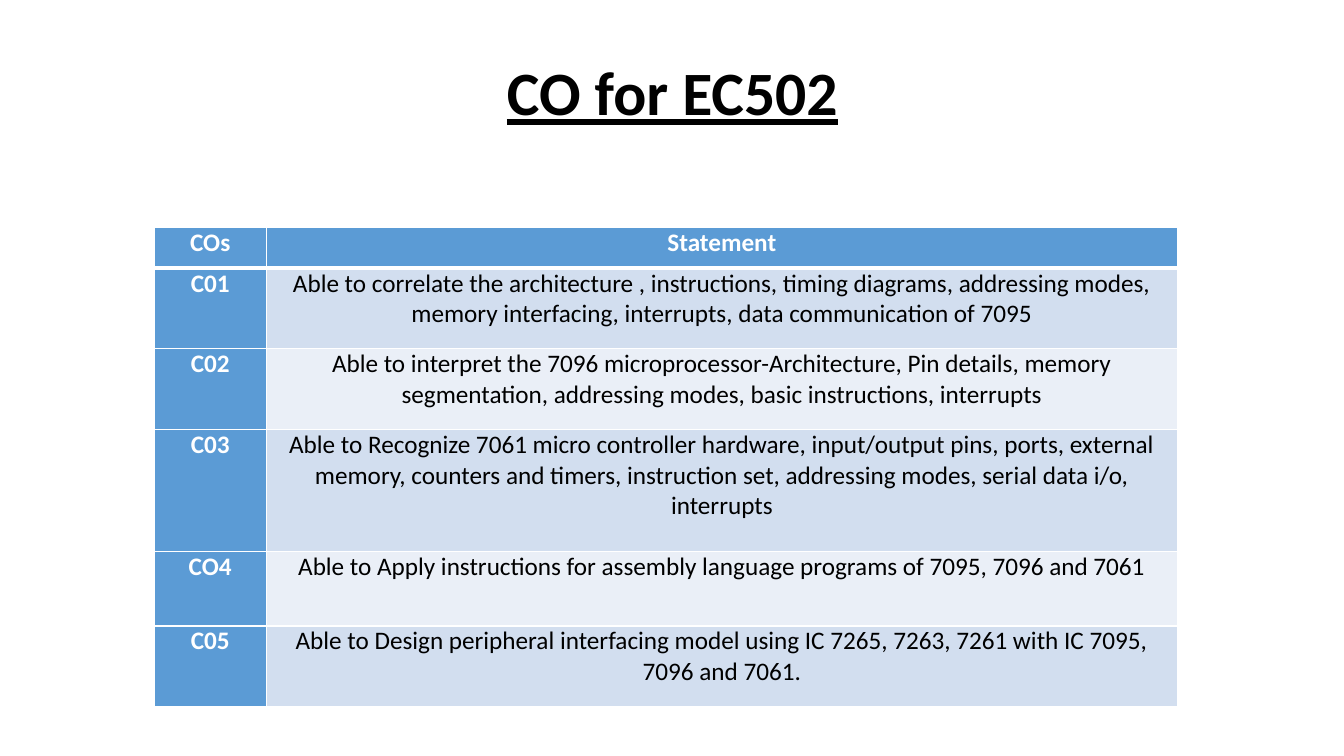
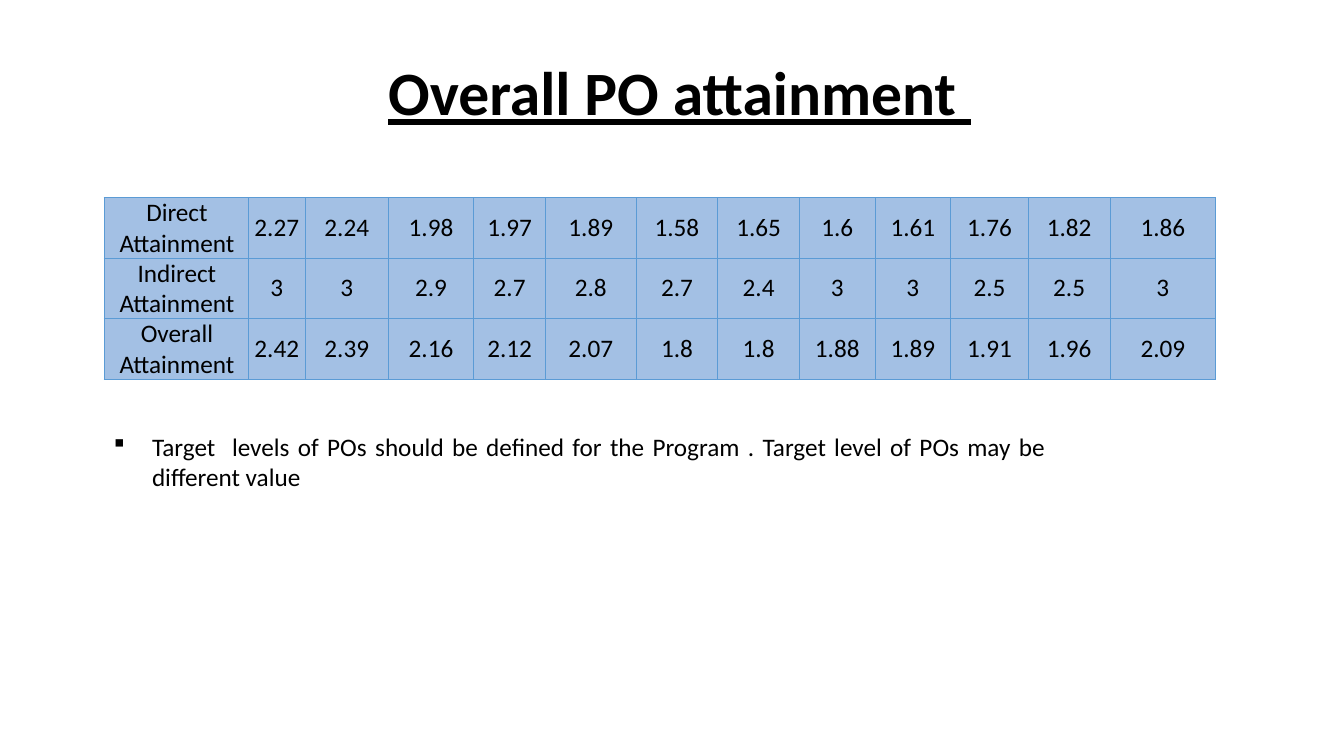
from lxml import etree
from pptx import Presentation
from pptx.dml.color import RGBColor
from pptx.enum.text import MSO_ANCHOR as ANCHOR, PP_ALIGN as ALIGN
from pptx.oxml.ns import qn
from pptx.util import Inches, Pt

FONT = "Calibri"
BLACK, WHITE, BLUE = "000000", "FFFFFF", "5B9BD5"
BANDS = ["D2DEEF", "EAEFF7"]
PALE_BLUE = "A3C0E4"


def style_text(tf, size=18, color=BLACK, bold=False, align=ALIGN.CENTER):
    for p in tf.paragraphs:
        p.alignment = align
        for r in p.runs:
            r.font.name, r.font.size, r.font.bold = FONT, Pt(size), bold
            r.font.color.rgb = RGBColor.from_string(color)


def style_cell(cell, fill, line, widths, side_margin):
    """Set margins, borders (left, right, top, bottom widths in points) and fill."""
    cell.margin_left = cell.margin_right = Inches(side_margin)
    cell.margin_top = cell.margin_bottom = 0
    tc_pr = cell._tc.get_or_add_tcPr()
    for side, width in zip("LRTB", widths):
        ln = etree.SubElement(tc_pr, qn(f"a:ln{side}"), w=str(Pt(width)))
        solid = etree.SubElement(ln, qn("a:solidFill"))
        etree.SubElement(solid, qn("a:srgbClr"), val=line)
    cell.fill.solid()
    cell.fill.fore_color.rgb = RGBColor.from_string(fill)


prs = Presentation()
prs.slide_width, prs.slide_height = Inches(13.33), Inches(7.5)

# Slides with their shared title style
titles = [["CO for EC502"], [" ", "Overall PO attainment "]]
for parts in titles:
    s = prs.slides.add_slide(prs.slide_layouts[6])
    tf = s.shapes.add_textbox(Inches(0.92), Inches(0.4), Inches(11.5), Inches(1.1)).text_frame
    tf.word_wrap = True
    tf.vertical_anchor = ANCHOR.MIDDLE
    p = tf.paragraphs[0]
    p.line_spacing = 0.9
    for part in parts:
        p.add_run().text = part
    style_text(tf, size=44, bold=True)
    p.runs[-1].font.underline = True
outcome_slide, attainment_slide = prs.slides

# Slide 1: course outcomes
outcomes = [
    ("COs", "Statement", 0.4),
    ("C01", "Able to correlate the architecture , instructions, timing diagrams, addressing modes, "
            "memory interfacing, interrupts, data communication of 7095", 0.8),
    ("C02", "Able to interpret the 7096 microprocessor-Architecture, Pin details, memory\n"
            "segmentation, addressing modes, basic instructions, interrupts", 0.8),
    ("C03", "Able to Recognize 7061 micro controller hardware, input/output pins, ports, external\n"
            "memory, counters and timers, instruction set, addressing modes, serial data i/o,\n"
            "interrupts", 1.21),
    ("CO4", "Able to Apply instructions for assembly language programs of 7095, 7096 and 7061", 0.74),
    ("C05", "Able to Design peripheral interfacing model using IC 7265, 7263, 7261 with IC 7095, "
            "7096 and 7061.", 0.8),
]
table = outcome_slide.shapes.add_table(
    len(outcomes), 2, Inches(1.53), Inches(2.26), Inches(10.15), Inches(4.76)).table
table.columns[0].width, table.columns[1].width = Inches(1.11), Inches(9.04)
for i, (code, statement, height) in enumerate(outcomes):
    table.rows[i].height = Inches(height)
    widths = (1, 1, 3 if i == 1 else 1, 3 if i == 0 else 1)
    for j, text in enumerate((code, statement)):
        cell = table.cell(i, j)
        heading = i == 0 or j == 0
        cell.text = text
        style_text(cell.text_frame, color=WHITE if heading else BLACK, bold=heading)
        style_cell(cell, BLUE if heading else BANDS[(i - 1) % 2], WHITE, widths, 0.07)

# Slide 2: attainment note
tf = attainment_slide.shapes.add_textbox(
    Inches(1.03), Inches(4.23), Inches(9.44), Inches(0.71)).text_frame
tf.word_wrap = True
tf.text = ("Target  levels of POs should be defined for the Program . "
           "Target level of POs may be different value")
style_text(tf, align=ALIGN.JUSTIFY)
p_pr = tf.paragraphs[0]._p.get_or_add_pPr()
p_pr.set("marL", str(Inches(0.38)))
p_pr.set("indent", str(Inches(-0.38)))
etree.SubElement(p_pr, qn("a:buFont"), typeface="Wingdings")
etree.SubElement(p_pr, qn("a:buChar"), char="§")

# Slide 2: attainment table
attainment = [
    ("Direct Attainment", 2.27, 2.24, 1.98, 1.97, 1.89, 1.58, 1.65, 1.6, 1.61, 1.76, 1.82, 1.86),
    ("Indirect Attainment", 3, 3, 2.9, 2.7, 2.8, 2.7, 2.4, 3, 3, 2.5, 2.5, 3),
    ("Overall Attainment", 2.42, 2.39, 2.16, 2.12, 2.07, 1.8, 1.8, 1.88, 1.89, 1.91, 1.96, 2.09),
]
col_widths = [1.43, 0.57, 0.82, 0.85, 0.71, 0.9, 0.81, 0.81, 0.75, 0.75, 0.77, 0.81, 1.05]
table = attainment_slide.shapes.add_table(
    len(attainment), len(col_widths), Inches(1.03), Inches(1.96), Inches(11.01), Inches(1.8)).table
for column, width in zip(table.columns, col_widths):
    column.width = Inches(width)
for i, row in enumerate(attainment):
    for j, value in enumerate(row):
        cell = table.cell(i, j)
        cell.text = str(value)
        cell.vertical_anchor = ANCHOR.MIDDLE
        style_text(cell.text_frame)
        style_cell(cell, PALE_BLUE, BLUE, [0.5] * 4, 0)
    p = table.cell(i, 0).text_frame.paragraphs[0]
    p.space_before = Pt(7.5)
    p._p.get_or_add_pPr().set("marL", str(Inches(0.02)))

prs.save("out.pptx")
